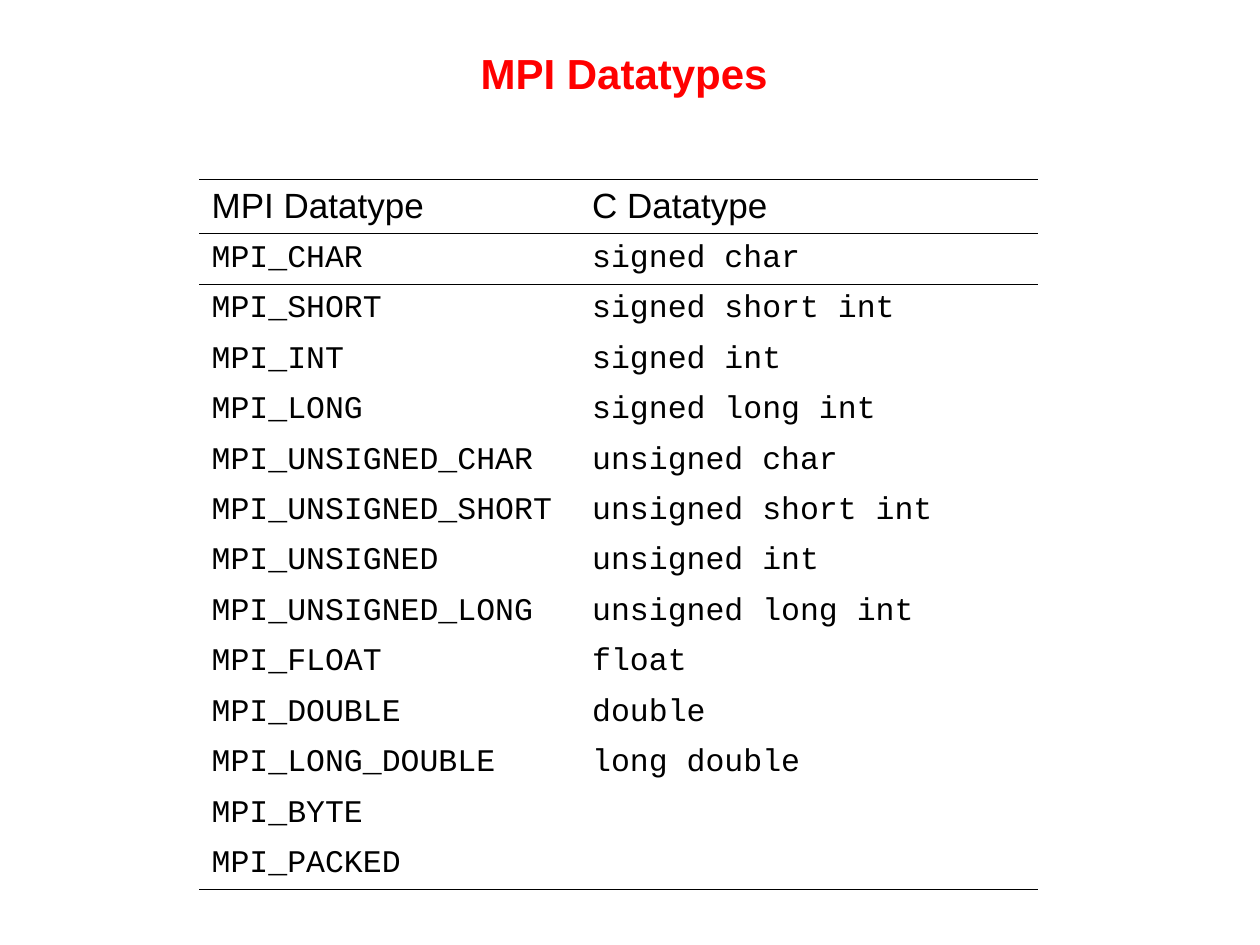
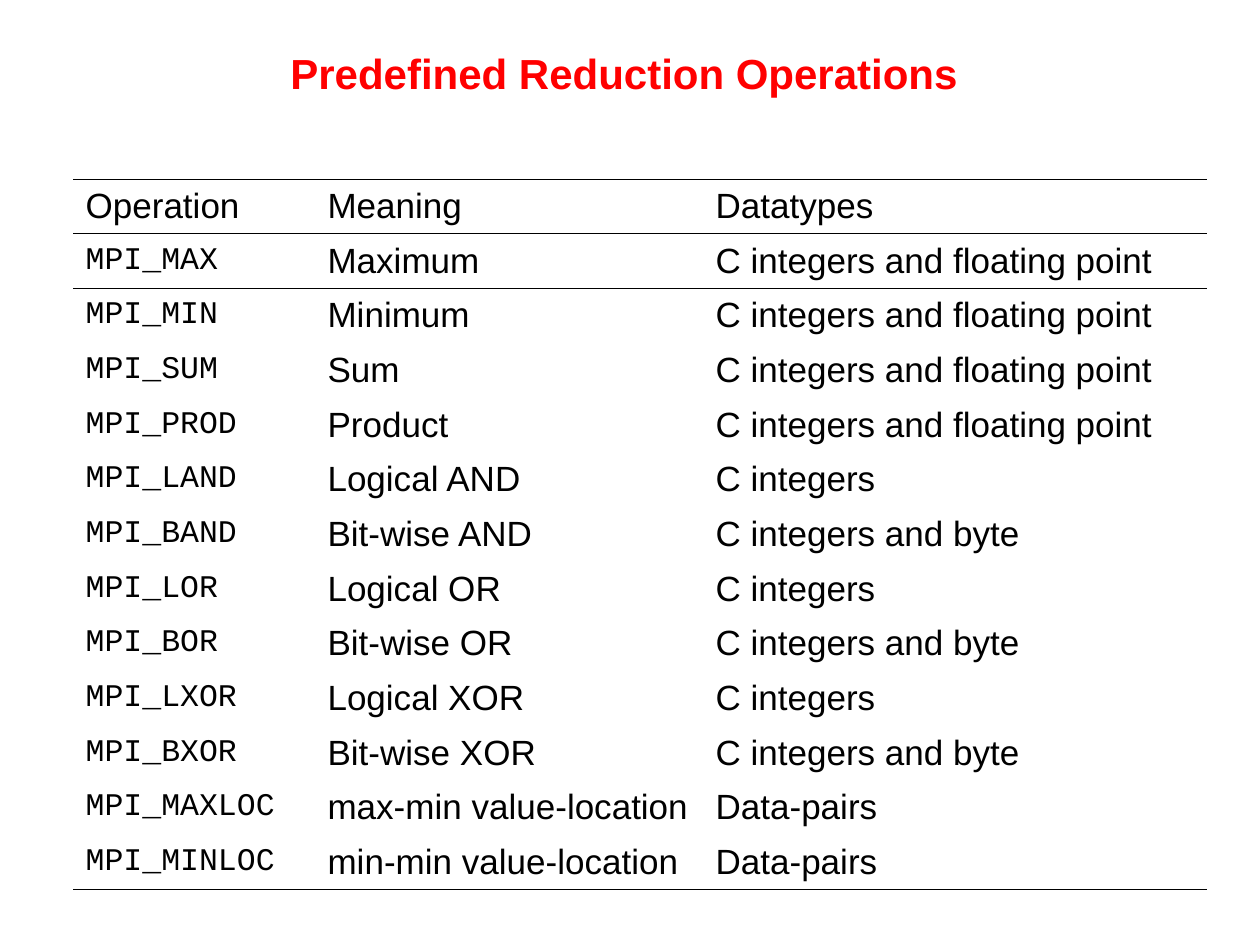
from dataclasses import dataclass

from lxml.etree import SubElement
from pptx import Presentation
from pptx.dml.color import RGBColor
from pptx.enum.text import MSO_ANCHOR, PP_ALIGN
from pptx.oxml.ns import qn
from pptx.util import Inches, Pt


@dataclass(frozen=True)
class Theme:
    title_color: str = "FF0000"
    ink: str = "000000"
    sans: str = "Arial"
    mono: str = "Courier New"
    title_size: int = 24
    text_size: int = 20
    code_size: int = 18
    rule_width: float = 0.45
    plain_table: str = "{2D5ABB26-0587-4C30-8999-92F81FD0307C}"


T = Theme()
TITLE = dict(name=T.sans, size=Pt(T.title_size), bold=True, color=T.title_color)
TEXT = dict(name=T.sans, size=Pt(T.text_size), bold=False, color=T.ink)
CODE = dict(TEXT, name=T.mono, size=Pt(T.code_size))

# Left, top, width, height in inches
TITLE_BOX = (0.5, 0.08, 9, 1)
TYPES_BOX = (1.58, 1.42, 6.66, 5.64)
OPERATIONS_BOX = (0.58, 1.42, 9, 5.64)
HEADER_HEIGHT = 0.43

DATATYPES = [
    ("MPI_CHAR", "signed char"),
    ("MPI_SHORT", "signed short int"),
    ("MPI_INT", "signed int"),
    ("MPI_LONG", "signed long int"),
    ("MPI_UNSIGNED_CHAR", "unsigned char"),
    ("MPI_UNSIGNED_SHORT", "unsigned short int"),
    ("MPI_UNSIGNED", "unsigned int"),
    ("MPI_UNSIGNED_LONG", "unsigned long int"),
    ("MPI_FLOAT", "float"),
    ("MPI_DOUBLE", "double"),
    ("MPI_LONG_DOUBLE", "long double"),
    ("MPI_BYTE", ""),
    ("MPI_PACKED", ""),
]

INTEGERS = "C integers"
WITH_FLOATS = "C integers and floating point"
WITH_BYTE = "C integers and byte"
PAIRS = "Data-pairs"
OPERATIONS = [
    ("MPI_MAX", "Maximum", WITH_FLOATS),
    ("MPI_MIN", "Minimum", WITH_FLOATS),
    ("MPI_SUM", "Sum", WITH_FLOATS),
    ("MPI_PROD", "Product", WITH_FLOATS),
    ("MPI_LAND", "Logical AND", INTEGERS),
    ("MPI_BAND", "Bit-wise AND", WITH_BYTE),
    ("MPI_LOR", "Logical OR", INTEGERS),
    ("MPI_BOR", "Bit-wise OR", WITH_BYTE),
    ("MPI_LXOR", "Logical XOR", INTEGERS),
    ("MPI_BXOR", "Bit-wise XOR", WITH_BYTE),
    ("MPI_MAXLOC", "max-min value-location", PAIRS),
    ("MPI_MINLOC", "min-min value-location", PAIRS),
]


def add_text(p, text, style):
    r = p.add_run()
    r.text = text
    for key, value in style.items():
        if key == "color":
            r.font.color.rgb = RGBColor.from_string(value)
        else:
            setattr(r.font, key, value)


def add_title(slide, box, text):
    tf = slide.shapes.add_textbox(*map(Inches, box)).text_frame
    tf.word_wrap = True
    tf.vertical_anchor = MSO_ANCHOR.MIDDLE
    p = tf.paragraphs[0]
    p.alignment = PP_ALIGN.CENTER
    add_text(p, text, style=TITLE)


def add_rule(cell, side):
    """Draw a thin line on the top (lnT) or bottom (lnB) of a cell."""
    ln = SubElement(cell._tc.get_or_add_tcPr(), qn(f"a:{side}"))
    ln.set("w", str(Pt(T.rule_width)))
    fill = SubElement(ln, qn("a:solidFill"))
    SubElement(fill, qn("a:srgbClr")).set("val", T.ink)


def fill_cell(cell, text, style, sides):
    for side in sides:
        add_rule(cell, side)
    cell.fill.background()
    cell.vertical_anchor = MSO_ANCHOR.MIDDLE
    if text:
        add_text(cell.text_frame.paragraphs[0], text, style)
    else:
        # Keep an empty cell from stretching its row
        cell.margin_top = cell.margin_bottom = 0


def add_ruled_table(slide, box, widths, header, body, styles):
    """Table with lines above and below the header and under the last row."""
    rows = [header, *body]
    table = slide.shapes.add_table(
        len(rows), len(header), *map(Inches, box)).table
    table.first_row = table.horz_banding = False
    table._tbl.tblPr.find(qn("a:tableStyleId")).text = T.plain_table

    for column, width in zip(table.columns, widths):
        column.width = Inches(width)
    body_height = (box[3] - HEADER_HEIGHT) / len(body)

    for i, values in enumerate(rows):
        table.rows[i].height = Inches(body_height if i else HEADER_HEIGHT)
        sides = ["lnT"] if i < 2 else []
        if i in (0, len(body)):
            sides.append("lnB")
        for j, value in enumerate(values):
            style = styles[j] if i else TEXT
            fill_cell(table.cell(i, j), value, style, sides)


def add_table_slide(prs, title, box, **content):
    slide = prs.slides.add_slide(prs.slide_layouts[6])
    add_title(slide, TITLE_BOX, title)
    add_ruled_table(slide, box, **content)


def main():
    prs = Presentation()
    prs.slide_width, prs.slide_height = Inches(10), Inches(7.5)

    # Datatypes
    add_table_slide(
        prs, "MPI Datatypes ", TYPES_BOX,
        widths=(3.02, 3.64),
        header=("MPI Datatype", "C Datatype"),
        body=DATATYPES,
        styles=(CODE, CODE))

    # Reduction operations
    add_table_slide(
        prs, "Predefined Reduction Operations ", OPERATIONS_BOX,
        widths=(1.92, 3.08, 4),
        header=("Operation", "Meaning", "Datatypes"),
        body=OPERATIONS,
        styles=(CODE, TEXT, TEXT))

    prs.save("out.pptx")


if __name__ == "__main__":
    main()
